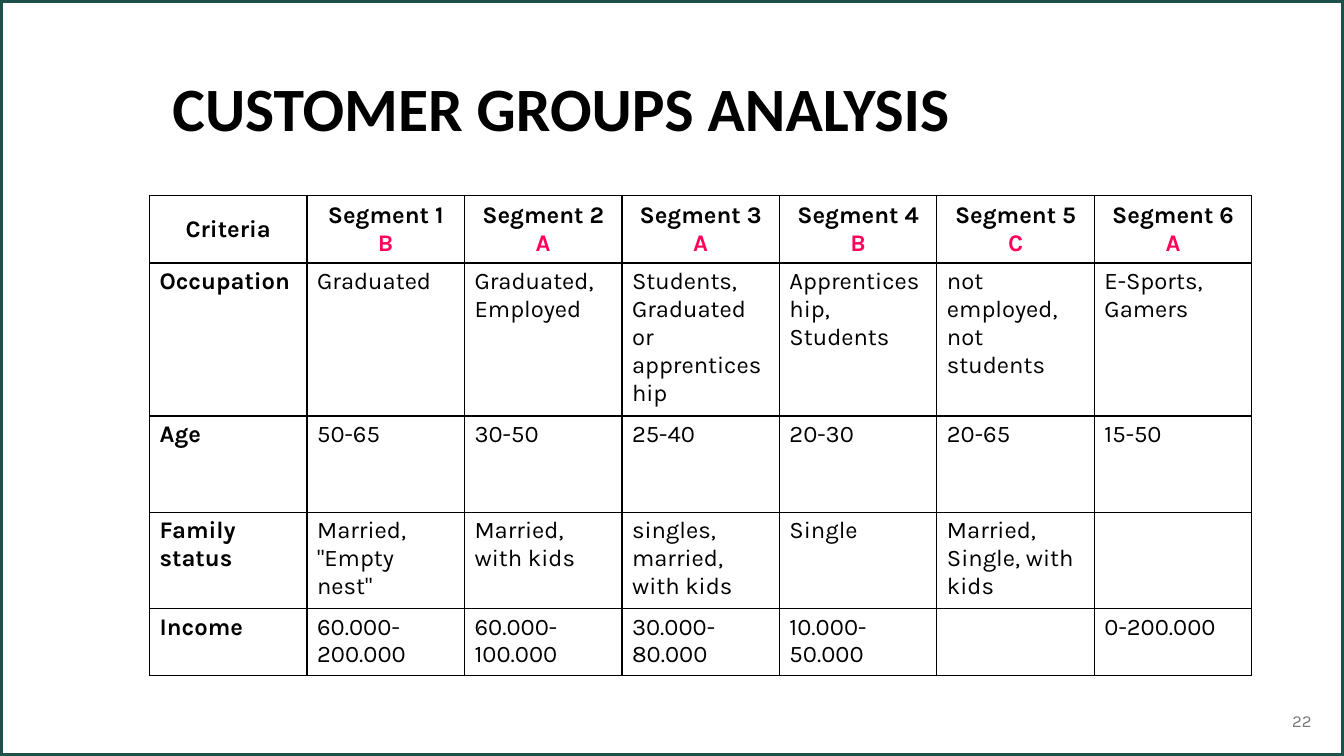
"""Build the customer groups analysis slide."""
from lxml import etree
from pptx import Presentation
from pptx.dml.color import RGBColor
from pptx.enum.shapes import MSO_SHAPE
from pptx.enum.text import MSO_ANCHOR, MSO_AUTO_SIZE, PP_ALIGN
from pptx.oxml.ns import qn
from pptx.util import Pt

RECT = MSO_SHAPE.RECTANGLE
MIDDLE, TOP = MSO_ANCHOR.MIDDLE, MSO_ANCHOR.TOP
LEFT, CENTER, RIGHT = PP_ALIGN.LEFT, PP_ALIGN.CENTER, PP_ALIGN.RIGHT
NO_FIT = MSO_AUTO_SIZE.NONE
COLORS = {"frame": "1D5049", "text": "000000", "grade": "FF005A", "number": "797979"}
COL_W = 112.5
ROW_H = [48.2, 109.4, 68.6, 68.6, 48.2]
ROWS = [
    ["Criteria", "Segment 1\nB", "Segment 2\nA", "Segment 3\nA",
     "Segment 4\nB", "Segment 5\nC", "Segment 6\nA"],
    ["Occupation", "Graduated", "Graduated, Employed",
     "Students, Graduated or apprenticeship", "Apprenticeship, Students",
     "not employed, not students", "E-Sports, Gamers"],
    ["Age", "50-65", "30-50", "25-40", "20-30", "20-65", "15-50"],
    ["Family status", 'Married, "Empty nest"', "Married, with kids",
     "singles, married, with kids", "Single", "Married, Single, with kids", ""],
    ["Income", "60.000-200.000", "60.000-100.000", "30.000-80.000",
     "10.000-50.000", "", "0-200.000"],
]


def style(p, font, size, color, bold=False, align=LEFT):
    """Format one paragraph."""
    p.alignment = align
    p.font.name = font
    p.font.size = Pt(size)
    p.font.bold = bold
    p.font.color.rgb = RGBColor.from_string(COLORS[color])


def add_borders(cell):
    """Draw a thin line on all four sides of a cell."""
    tc_pr = cell._tc.get_or_add_tcPr()
    for i, side in enumerate(("a:lnL", "a:lnR", "a:lnT", "a:lnB")):
        ln = etree.Element(qn(side), w=str(Pt(1)))
        fill = etree.SubElement(ln, qn("a:solidFill"))
        etree.SubElement(fill, qn("a:srgbClr"), val=COLORS["text"])
        tc_pr.insert(i, ln)


prs = Presentation()
prs.slide_width, prs.slide_height = Pt(960), Pt(540)
s = prs.slides.add_slide(prs.slide_layouts[5])

frame = s.shapes.add_shape(RECT, 0, 0, prs.slide_width, prs.slide_height)
frame.shadow.inherit = False
frame.fill.background()
frame.line.color.rgb = RGBColor.from_string(COLORS["frame"])
frame.line.width = Pt(4.5)
s.shapes._spTree.insert(2, frame._element)

title = s.shapes.title
title.left, title.top, title.width, title.height = Pt(116), Pt(27.4), Pt(828), Pt(104.4)
tf = title.text_frame
tf.text = "CUSTOMER GROUPS ANALYSIS"
tf.auto_size = NO_FIT
tf.vertical_anchor = MIDDLE
tf.paragraphs[0].line_spacing = 0.9
style(tf.paragraphs[0], "Calibri", 44, "text", bold=True)

number = s.shapes.add_textbox(Pt(728), Pt(500.4), Pt(216), Pt(28.8))
tf = number.text_frame
tf.word_wrap = True
tf.vertical_anchor = MIDDLE
tf.text = "22"
style(tf.paragraphs[0], "Karla", 12, "number", align=RIGHT)

n_cols = len(ROWS[0])
table = s.shapes.add_table(len(ROWS), n_cols, Pt(106.8), Pt(139.6),
                           Pt(COL_W * n_cols), Pt(sum(ROW_H))).table
table.first_row = table.horz_banding = False
for col in table.columns:
    col.width = Pt(COL_W)
for r, row in enumerate(ROWS):
    table.rows[r].height = Pt(ROW_H[r])
    for c, text in enumerate(row):
        cell = table.cell(r, c)
        cell.fill.background()
        add_borders(cell)
        cell.vertical_anchor = TOP if r else MIDDLE
        cell.text = text
        for i, p in enumerate(cell.text_frame.paragraphs):
            style(p, "Karla", 17, "grade" if i else "text",
                  bold=r == 0 or c == 0, align=LEFT if r else CENTER)

prs.save("out.pptx")
